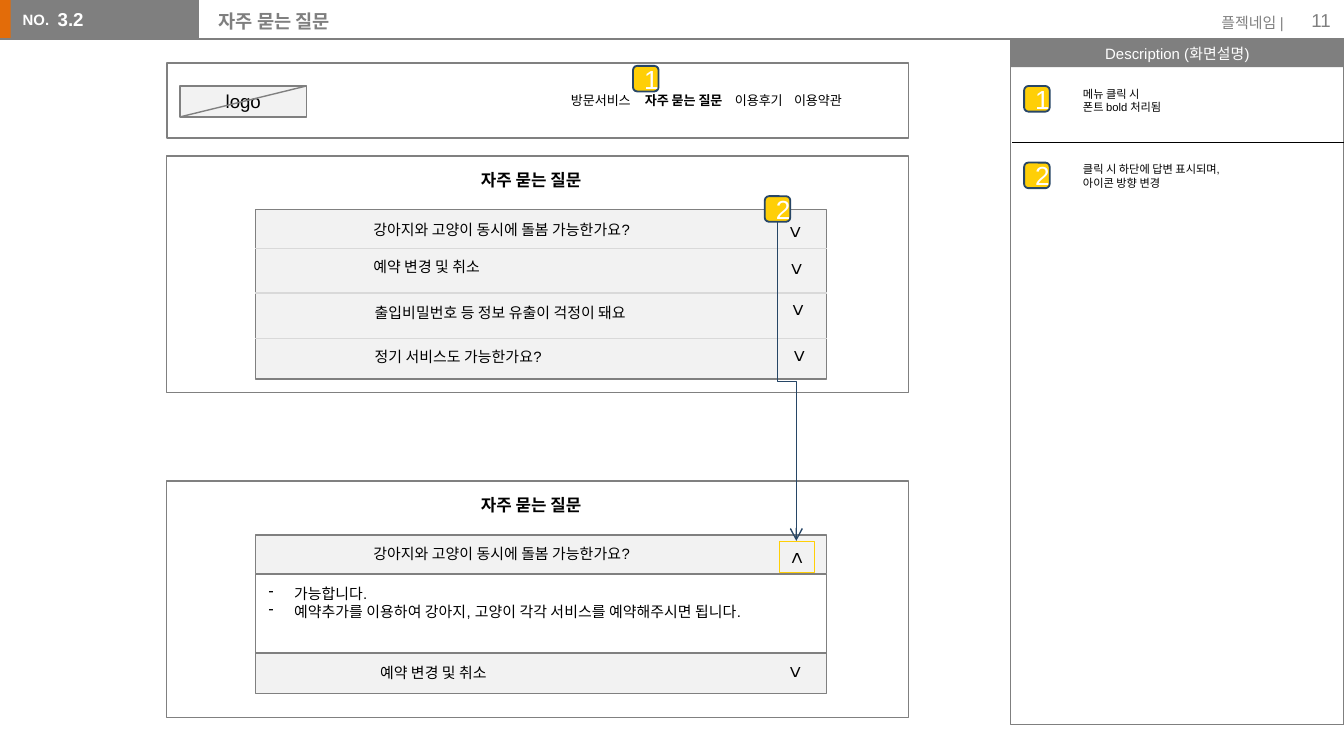
"""Builds an FAQ screen wireframe with its description panel."""
import pptx
import pptx.util
from lxml import etree
from pptx.dml.color import RGBColor
from pptx.enum.shapes import MSO_CONNECTOR, MSO_SHAPE
from pptx.enum.text import MSO_ANCHOR, PP_ALIGN
from pptx.oxml.ns import qn

ORANGE = RGBColor(0xE3, 0x6C, 0x09)
BAR = RGBColor(0x7F, 0x7F, 0x7F)
GRAY = RGBColor(0x80, 0x80, 0x80)
PALE = RGBColor(0xF2, 0xF2, 0xF2)
RULE = RGBColor(0xD9, 0xD9, 0xD9)
YELLOW = RGBColor(0xFF, 0xCF, 0x07)
NAVY = RGBColor(0x27, 0x46, 0x66)
WHITE = RGBColor(0xFF, 0xFF, 0xFF)
BLACK = RGBColor(0, 0, 0)

TITLE = "자주 묻는 질문"
MENU = [("방문서비스", 0), (TITLE, 0.55), ("이용후기", 1.22), ("이용약관", 1.66)]
QUESTIONS = [
    "강아지와 고양이 동시에 돌봄 가능한가요?",
    "예약 변경 및 취소",
    "출입비밀번호 등 정보 유출이 걱정이 돼요",
    "정기 서비스도 가능한가요?",
]
QUESTION_TOPS = [1.59, 1.87, 2.21, 2.54]
ARROW_TOPS = [1.59, 1.86, 2.17, 2.51]
ROW_RULES = [1.85, 2.18, 2.52]
ANSWERS = ["가능합니다.",
           "예약추가를 이용하여 강아지, 고양이 각각 서비스를 예약해주시면 됩니다."]
NOTES = [
    ("1", 0.64, 0.60, ["메뉴 클릭 시", "폰트 bold 처리됨"]),
    ("2", 1.21, 1.16, ["클릭 시 하단에 답변 표시되며,", "아이콘 방향 변경"]),
]
FRAME_X, FRAME_W = 1.24, 5.52
LIST_X, LIST_W = 1.9, 4.25
PANEL_X, PANEL_W = 7.52, 2.48

inch, pt = pptx.util.Inches, pptx.util.Pt
prs = pptx.Presentation()
prs.slide_width = inch(10)
prs.slide_height = prs.slide_width * 9 // 16
s = prs.slides.add_slide(prs.slide_layouts[6])


def write(sp, lines, size, color=BLACK, bold=False, align=PP_ALIGN.LEFT):
    tf = sp.text_frame
    tf.text = "\n".join(lines)
    for p in tf.paragraphs:
        p.alignment = align
        p.font.name, p.font.size, p.font.bold = "Arial", pt(size), bold
        p.font.color.rgb = color
    return tf


def box(x, y, w, h, fill=None, line=None, width=0.75, kind=MSO_SHAPE.RECTANGLE):
    sp = s.shapes.add_shape(kind, inch(x), inch(y), inch(w), inch(h))
    sp.shadow.inherit = False
    if fill is None:
        sp.fill.background()
    else:
        sp.fill.solid()
        sp.fill.fore_color.rgb = fill
    if line is None:
        sp.line.fill.background()
    else:
        sp.line.color.rgb = line
        sp.line.width = pt(width)
    return sp


def text(x, y, w, h, lines, size, color=BLACK, wrap=True, rot=0, **style):
    sp = s.shapes.add_textbox(inch(x), inch(y), inch(w), inch(h))
    sp.rotation = rot
    tf = write(sp, lines, size, color, **style)
    tf.word_wrap = wrap
    return tf


def line(x1, y1, x2, y2, color, width=0.75, kind=MSO_CONNECTOR.STRAIGHT):
    c = s.shapes.add_connector(kind, inch(x1), inch(y1), inch(x2), inch(y2))
    c.line.color.rgb = color
    c.line.width = pt(width)
    etree.SubElement(c._element.spPr, qn("a:effectLst"))
    return c


def badge(x, y, number):
    sp = box(x, y, 0.19, 0.19, YELLOW, NAVY, 1, MSO_SHAPE.ROUNDED_RECTANGLE)
    write(sp, [number], 14, WHITE, align=PP_ALIGN.CENTER)


def arrow(x, y, rot=90):
    text(x, y, 0.29, 0.29, [">"], 11, wrap=False, rot=rot)


def faq_frame(y):
    box(FRAME_X, y, FRAME_W, 1.76, line=GRAY)
    text(3.48, y + 0.05, 1.03, 0.25, [TITLE], 9, wrap=False, bold=True)


box(-0.01, 0, 0.12, 0.29, ORANGE)
box(0.08, 0, 1.4, 0.29, BAR)
text(0.07, 0.03, 0.41, 0.24, ["NO."], 8, WHITE, wrap=False, bold=True)
line(0, 0.29, 7.66, 0.29, BAR)
write(box(PANEL_X, 0.29, PANEL_W, 0.21, BAR), ["Description (화면설명)"], 8, WHITE,
      align=PP_ALIGN.CENTER)
box(PANEL_X, 0.29, PANEL_W, 5.1, line=BAR)
text(8.93, 0.05, 0.72, 0.24, ["플젝네임 |"], 8, BAR, align=PP_ALIGN.RIGHT)
tf = text(9.4, 0, 0.6, 0.3, ["11"], 10, BAR, align=PP_ALIGN.RIGHT)
tf.vertical_anchor = MSO_ANCHOR.MIDDLE
tf = text(1.53, -0.01, 5.61, 0.32, [TITLE], 10, BAR, bold=True)
tf.margin_top = tf.margin_bottom = inch(0.1)
tf = text(0.43, 0.01, 1.1, 0.31, ["3.2"], 10, WHITE, bold=True)
tf.margin_left = tf.margin_right = 0

box(FRAME_X, 0.47, FRAME_W, 0.56, line=GRAY, width=1)
write(box(1.34, 0.64, 0.94, 0.23, PALE, GRAY), ["logo"], 10, align=PP_ALIGN.CENTER)
line(1.34, 0.87, 2.28, 0.64, GRAY)
p = text(4.15, 0.64, 2.4, 0.22, [""], 7).paragraphs[0]
tabs = etree.Element(qn("a:tabLst"))
for label, stop in MENU:
    r = p.add_run()
    r.text = "\t" + label if stop else label
    r.font.bold = label == TITLE
    if stop:
        etree.SubElement(tabs, qn("a:tab"), pos=str(inch(stop)), algn="l")
p._p.get_or_add_pPr().insert(0, tabs)
badge(4.71, 0.49, "1")

faq_frame(1.16)
box(LIST_X, 1.56, LIST_W, 1.26, PALE, GRAY)
for y in ROW_RULES:
    line(LIST_X, y, LIST_X + LIST_W, y, RULE)
for i, (question, y) in enumerate(zip(QUESTIONS, QUESTION_TOPS)):
    text(2.68 + i // 2 * 0.01, y, 3.1, 0.24, [question], 8)
for i, y in enumerate(ARROW_TOPS):
    arrow(5.78 + i * 0.01, y)
badge(5.69, 1.46, "2")

for number, badge_y, note_y, note in NOTES:
    badge(7.62, badge_y, number)
    text(7.96, note_y, 1.83, 0.3, note, 6)
line(7.53, 1.06, 10, 1.06, BLACK, 0.25)

faq_frame(3.58)
box(LIST_X, 3.98, LIST_W, 0.29, PALE, GRAY)
line(LIST_X, 4.27, LIST_X + LIST_W, 4.27, RULE)
text(2.68, 4, 3.76, 0.24, QUESTIONS[:1], 8)
arrow(5.78, 4.01, 270)
box(LIST_X, 4.27, LIST_W, 0.6, WHITE, GRAY)
box(LIST_X, 4.86, LIST_W, 0.3, PALE, GRAY)
text(2.73, 4.89, 1.3, 0.24, QUESTIONS[1:2], 8)
arrow(5.78, 4.86)
for p in text(LIST_X, 4.3, 4.18, 0.5, ANSWERS, 8).paragraphs:
    pPr = p._p.get_or_add_pPr()
    pPr.set("marL", str(inch(0.19)))
    pPr.set("indent", str(-inch(0.19)))
    pPr.insert(0, etree.Element(qn("a:buChar"), char="-"))
box(5.8, 4.03, 0.26, 0.23, line=YELLOW)

c = line(7.04, 2.77, 4.67, 2.91, NAVY, kind=MSO_CONNECTOR.ELBOW)
spPr = c._element.spPr
spPr.find(qn("a:xfrm")).set("rot", str(270 * 60000))
etree.SubElement(spPr.find(qn("a:ln")), qn("a:tailEnd"), type="arrow")

prs.save("out.pptx")
